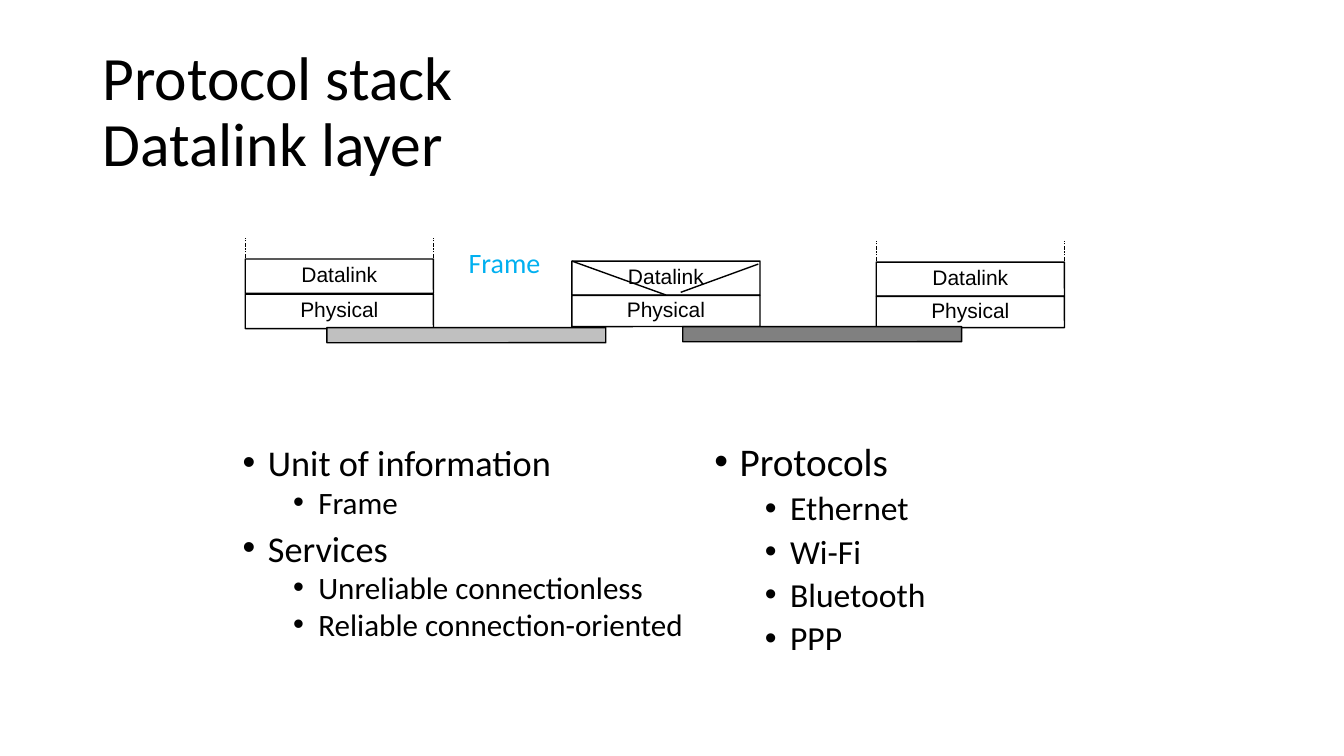
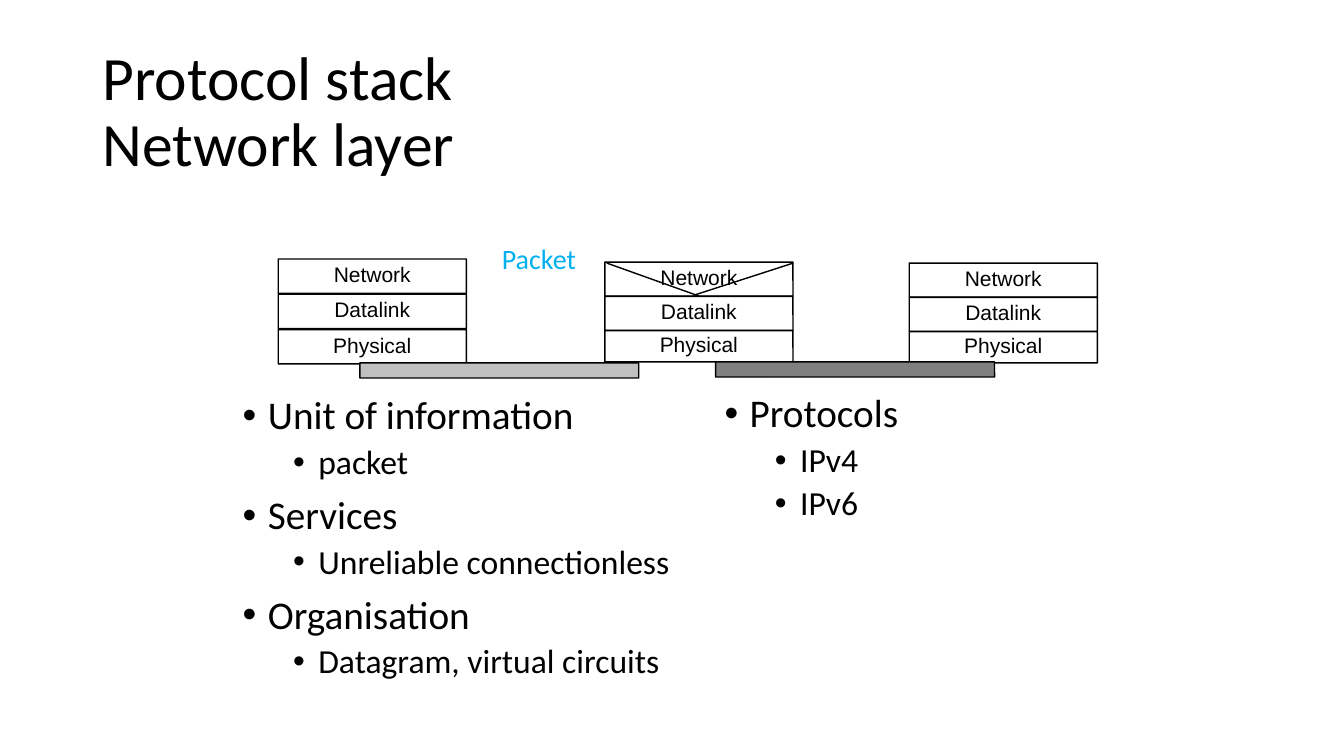
from lxml import etree
from pptx import Presentation
from pptx.dml.color import RGBColor
from pptx.enum.shapes import MSO_CONNECTOR, MSO_SHAPE
from pptx.enum.text import MSO_ANCHOR, MSO_AUTO_SIZE, PP_ALIGN
from pptx.oxml.ns import qn
from pptx.util import Inches, Pt

ROUNDED = MSO_SHAPE.ROUNDED_RECTANGLE
STRAIGHT = MSO_CONNECTOR.STRAIGHT
MIDDLE = MSO_ANCHOR.MIDDLE
LEFT, CENTER = PP_ALIGN.LEFT, PP_ALIGN.CENTER
NO_FIT, GROW = MSO_AUTO_SIZE.NONE, MSO_AUTO_SIZE.SHAPE_TO_FIT_TEXT
BOTTOM_SIDE = 2

COLUMNS, ROWS = 400, 225
BLACK, ACCENT = "000000", "00B0F0"
LIGHT_CABLE, DARK_CABLE = "C0C0C0", "808080"

# Stack geometry in grid cells, relative to the first physical layer
BOX_WIDTH = 56
ROUTER_COLUMN, SERVER_COLUMN = 97.2, 187.8


def rgb(value):
    return RGBColor.from_string(value)


class Deck:
    """Holds the shared style and the slide being drawn."""

    heading_font, diagram_font = "Calibri", "Arial"

    def __init__(self):
        self.presentation = Presentation()
        self.presentation.slide_width = Inches(13.333)
        self.presentation.slide_height = Inches(7.5)
        self.slide = None

    def x(self, columns):
        return round(self.presentation.slide_width * columns / COLUMNS)

    def y(self, rows):
        return round(self.presentation.slide_height * rows / ROWS)

    def area(self, left, top, width, height):
        return self.x(left), self.y(top), self.x(width), self.y(height)

    def style(self, paragraph, size, font, color=BLACK, spacing=None, align=LEFT):
        paragraph.font.size = Pt(size)
        paragraph.font.name = font
        paragraph.font.color.rgb = rgb(color)
        paragraph.alignment = align
        if spacing:
            paragraph.line_spacing = spacing

    def add_slide(self, title):
        self.slide = self.presentation.slides.add_slide(
            self.presentation.slide_layouts[5])
        shape = self.slide.shapes.title
        shape.left, shape.top, shape.width, shape.height = self.area(27.5, 12, 345, 43.5)
        frame = shape.text_frame
        frame.text = title
        frame.auto_size = NO_FIT
        frame.vertical_anchor = MIDDLE
        self.style(frame.paragraphs[0], 44, self.heading_font, spacing=0.9)

    def box(self, left, top, width, height, text="", fill=None, corner=0.004):
        shape = self.slide.shapes.add_shape(ROUNDED, *self.area(left, top, width, height))
        shape.adjustments[0] = corner
        shape.shadow.inherit = False
        shape.line.color.rgb = rgb(BLACK)
        shape.line.width = Pt(1)
        if fill:
            shape.fill.solid()
            shape.fill.fore_color.rgb = rgb(fill)
        else:
            shape.fill.background()
        if text:
            frame = shape.text_frame
            frame.margin_left = frame.margin_right = 0
            frame.margin_top = frame.margin_bottom = 0
            frame.vertical_anchor = MIDDLE
            frame.text = text
            self.style(frame.paragraphs[0], 15, self.diagram_font,
                       spacing=0.84, align=CENTER)
        return shape

    def line(self, start, end, dash=None):
        connector = self.slide.shapes.add_connector(
            STRAIGHT, self.x(start[0]), self.y(start[1]), self.x(end[0]), self.y(end[1]))
        connector.line.color.rgb = rgb(BLACK)
        connector.line.width = Pt(1)
        properties = connector.element.spPr
        if dash:
            outline = properties.find(qn("a:ln"))
            etree.SubElement(outline, qn("a:prstDash")).set("val", dash)
        etree.SubElement(properties, qn("a:effectLst"))
        return connector

    def label(self, left, top, text):
        shape = self.slide.shapes.add_textbox(*self.area(left, top, 28, 13.2))
        frame = shape.text_frame
        frame.word_wrap = False
        frame.auto_size = GROW
        frame.text = text
        self.style(frame.paragraphs[0], 20, self.heading_font, ACCENT)

    def bullets(self, left, top, width, height, topics, sizes=(28, 24), spacing=0.9):
        shape = self.slide.shapes.add_textbox(*self.area(left, top, width, height))
        frame = shape.text_frame
        frame.word_wrap = True
        items = [(level, text) for topic, details in topics
                 for level, text in [(0, topic)] + [(1, detail) for detail in details]]
        for index, (level, text) in enumerate(items):
            paragraph = frame.add_paragraph() if index else frame.paragraphs[0]
            paragraph.text = text
            paragraph.level = level
            paragraph.space_before = Pt((10, 5)[level])
            self.style(paragraph, sizes[level], self.heading_font, spacing=spacing)
            properties = paragraph._p.get_or_add_pPr()
            properties.set("marL", str(Inches((0.25, 0.75)[level])))
            properties.set("indent", str(Inches(-0.25)))
            etree.SubElement(properties, qn("a:buFont")).set("typeface", "Arial")
            etree.SubElement(properties, qn("a:buChar")).set("char", "•")

    def stack(self, left, top, layers, pitch, height, physical_height):
        """Draws the layers from the bottom up and returns the top box."""
        for index, name in enumerate(layers):
            shape = self.box(left, top - index * pitch, BOX_WIDTH,
                             height if index else physical_height, name)
        return shape

    def network(self, left, top, layers, dashed, falling_start, rising):
        # Two hosts with a router between them
        self.stack(left, top, layers, 10.5, 10.2, 10.2)
        router = left + ROUTER_COLUMN
        router_top = self.stack(router, top + 0.3, layers, 10.2, 10.1, 9.3)
        self.stack(left + SERVER_COLUMN, top + 0.6, layers, 10.2, 10.1, 9.3)

        # Cables
        for column, row, fill in ((24.3, 9.9, LIGHT_CABLE), (130.2, 9.6, DARK_CABLE)):
            self.box(left + column, top + row, 83, 4.5, fill=fill, corner=0.008)

        # Dashed sides hint at the layers above
        for column, row in dashed:
            for side in (left + column, left + column + BOX_WIDTH):
                self.line((side, top + row), (side, top + row - 12.6), "sysDashDotDot")

        # Path through the router's top layer
        router_row = top + 0.3 - 10.2 * (len(layers) - 1)
        start, low, high = [(router + column, router_row + row)
                            for column, row in (falling_start, *rising)]
        falling = self.line(start, (router + BOX_WIDTH / 2, router_row + 10.1))
        falling.end_connect(router_top, BOTTOM_SIDE)
        self.line(low, high)


def main():
    deck = Deck()

    # Datalink layer
    deck.add_slide("Protocol stack\vDatalink layer")
    deck.network(73, 87.6, ("Physical", "Datalink"),
                 dashed=((0, -4.2), (SERVER_COLUMN, -3.3)),
                 falling_start=(0, 0), rising=((32.4, 9.3), (55.5, 0.9)))
    deck.label(136.5, 71.7, "Frame")
    deck.bullets(69.3, 132, 261.5, 63.6, [
        ("Unit of information", ["Frame"]),
        ("Services", ["Unreliable connectionless", "Reliable connection-oriented"]),
    ], sizes=(25.9, 22.2), spacing=0.8)
    deck.bullets(209.7, 130.2, 190, 90, [
        ("Protocols", ["Ethernet", "Wi-Fi", "Bluetooth", "PPP"]),
    ])

    # Network layer
    deck.add_slide("Protocol stack\vNetwork layer")
    deck.network(82.8, 98.1, ("Physical", "Datalink", "Network"),
                 dashed=((0, -4.2),),
                 falling_start=(0.6, 0.3), rising=((26.4, 9.9), (56.1, 0.3)))
    deck.label(146.4, 70.5, "Packet")
    deck.bullets(69.3, 116.4, 261.5, 102.6, [
        ("Unit of information", ["packet"]),
        ("Services", ["Unreliable connectionless"]),
        ("Organisation", ["Datagram, virtual circuits"]),
    ])
    deck.bullets(212.7, 115.8, 187, 100, [("Protocols", ["IPv4", "IPv6"])])

    deck.presentation.save("out.pptx")


if __name__ == "__main__":
    main()
